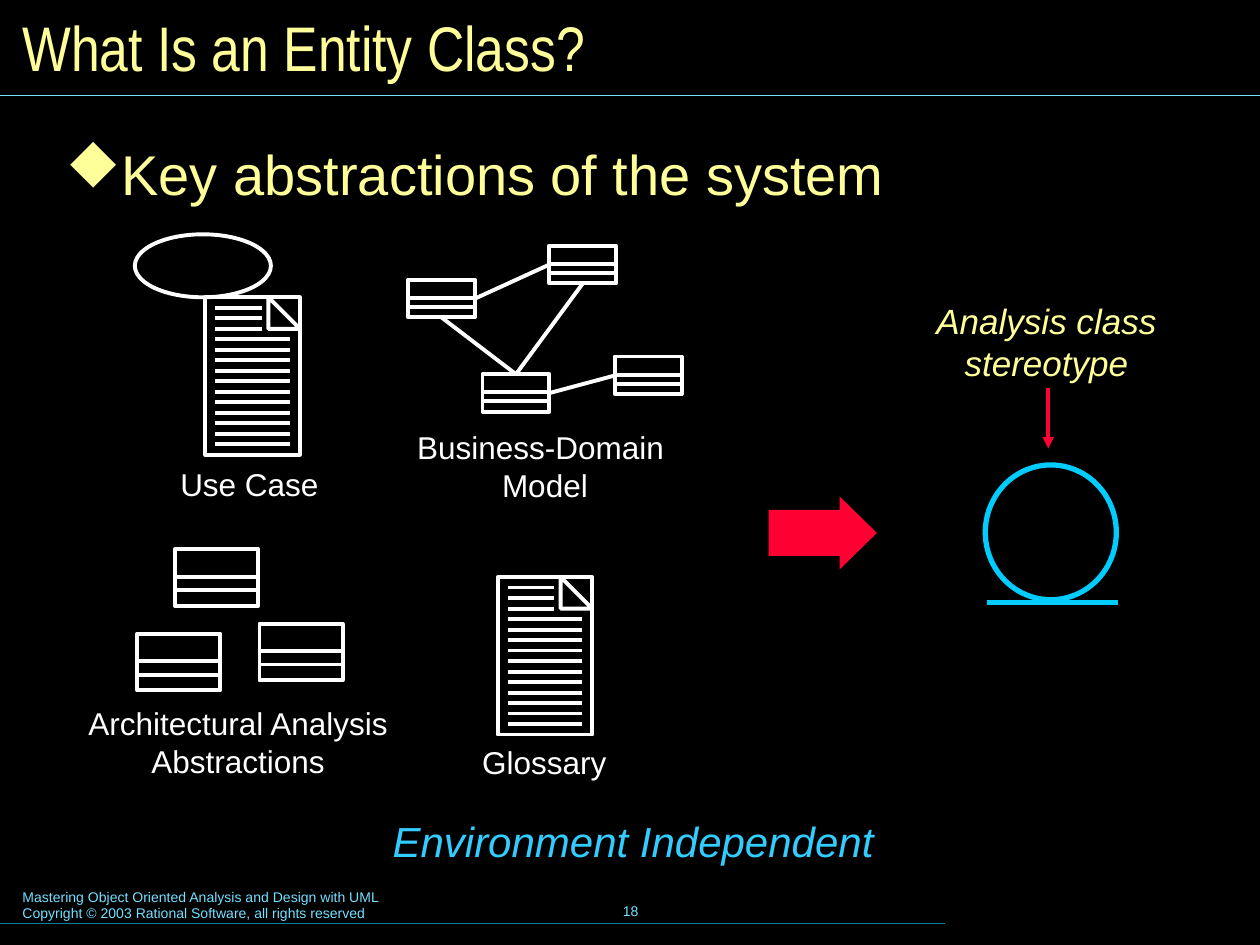
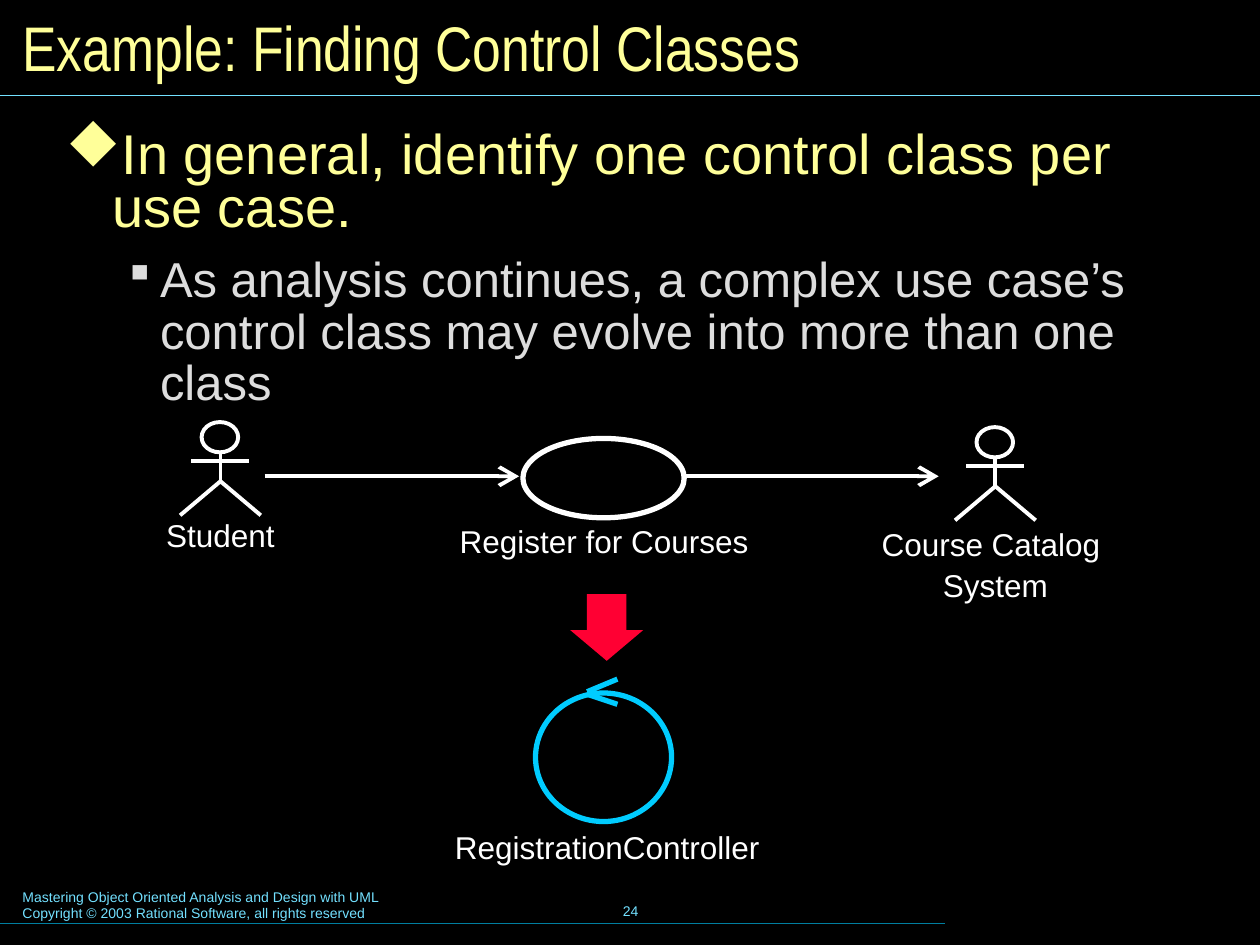
from lxml import etree
from pptx import Presentation, util as u
from pptx.dml.color import RGBColor
from pptx.enum import shapes, text
from pptx.oxml import ns

In, Pt = u.Inches, u.Pt
Kind = shapes.MSO_SHAPE
Al, Anc = text.PP_ALIGN, text.MSO_ANCHOR
BLACK = RGBColor(0x00, 0x00, 0x00)
WHITE = RGBColor(0xFF, 0xFF, 0xFF)
GREY = RGBColor(0xDD, 0xDD, 0xDD)
YELLOW = RGBColor(0xFF, 0xFF, 0x99)
RED = RGBColor(0xFF, 0x00, 0x33)
CYAN = RGBColor(0x00, 0xCC, 0xFF)
SKY = RGBColor(0x33, 0xCC, 0xFF)
PALE = RGBColor(0x73, 0xE1, 0xFF)
TEAL = RGBColor(0x00, 0x7E, 0x9F)
FOOT = ("Mastering Object Oriented Analysis and Design with UML\n"
        "Copyright © 2003 Rational Software, all rights reserved")
# colour, size, Wingdings mark (diamond, small square), left margin, indent,
# line spacing, space before
LEVELS = [(YELLOW, 32, "u", 0.37, -0.37, 0.8, 12),
          (GREY, 28, "§", 0.75, -0.25, 0.87, 10.5)]
TOP, LEFT, BOTTOM, RIGHT = range(4)


def add_tag(parent, tag, **attrs):
    node = etree.SubElement(parent, ns.qn(tag))
    for key, val in attrs.items():
        node.set(key, val)
    return node


class Deck:
    """Holds the shared style and the slide being drawn."""

    def __init__(self):
        self.prs = Presentation()
        self.prs.slide_width, self.prs.slide_height = In(10), In(7.5)

    def start(self, title, num):
        """Add a slide with its title, rules and footer."""
        slide = self.prs.slides.add_slide(self.prs.slide_layouts[6])
        fill = slide.background.fill
        fill.solid()
        fill.fore_color.rgb = BLACK
        self.items = slide.shapes
        self.label(FOOT, 0.08, 7, 5.1, 0.37, 8, PALE, Al.LEFT)
        self.label(str(num), 3.42, 6.98, 3.17, 0.5, 8, PALE, mid=True)
        self.line(0, 7.33, 7.5, 7.33, TEAL, 0.75)
        self.line(0, 0.76, 10, 0.76, PALE, 0.75)
        self.label(title, 0.08, 0.08, 9.84, 0.58, 36, YELLOW, Al.LEFT,
                   mid=True, face="Arial Narrow")

    def style(self, para, size, color, face="Arial", slant=False):
        for run in para.runs:
            font = run.font
            font.name, font.size, font.italic = face, Pt(size), slant
            font.color.rgb = color

    def frame(self, x, y, w, h, side=0.1, edge=0.05):
        box = self.items.add_textbox(In(x), In(y), In(w), In(h)).text_frame
        box.word_wrap = True
        box.margin_left = box.margin_right = In(side)
        box.margin_top = box.margin_bottom = In(edge)
        return box

    def label(self, words, x, y, w, h, size=18, color=WHITE, align=Al.CENTER,
              mid=False, face="Arial", slant=False, side=0.1, edge=0.05):
        box = self.frame(x, y, w, h, side, edge)
        box.text = words
        box.vertical_anchor = Anc.MIDDLE if mid else Anc.TOP
        for para in box.paragraphs:
            para.alignment = align
            self.style(para, size, color, face, slant)
        return box

    def body(self, y, *lines):
        """Write one bullet per line, each a level deeper."""
        box = self.frame(0.4, y, 9.29, 5.52, 0.12, 0.06)
        for rank, (words, level) in enumerate(zip(lines, LEVELS)):
            color, size, mark, left, dent, space, gap = level
            para = box.add_paragraph() if rank else box.paragraphs[0]
            para.text = words
            para.line_spacing = space
            if rank:
                para.space_before = Pt(gap)
            props = para._p.get_or_add_pPr()
            props.set("marL", str(In(left)))
            props.set("indent", str(In(dent)))
            add_tag(add_tag(props, "a:buClr"), "a:srgbClr", val=str(color))
            add_tag(props, "a:buFont", typeface="Wingdings", charset="2")
            add_tag(props, "a:buChar", char=mark)
            self.style(para, size, color)

    def outline(self, shape, color=WHITE, width=2.25):
        shape.shadow.inherit = False
        shape.fill.background()
        shape.line.color.rgb = color
        shape.line.width = Pt(width)
        return shape

    def shape(self, kind, x, y, w, h, color=WHITE, width=2.25):
        item = self.items.add_shape(kind, In(x), In(y), In(w), In(h))
        return self.outline(item, color, width)

    def free(self, points, close=False):
        spots = [(In(x), In(y)) for x, y in points]
        path = self.items.build_freeform(*spots[0])
        path.add_line_segments(spots[1:], close=close)
        return self.outline(path.convert_to_shape())

    def arrow(self, x, y, w, h, thick, tip, turn=0):
        item = self.items.add_shape(Kind.RIGHT_ARROW, In(x), In(y), In(w), In(h))
        item.shadow.inherit = False
        item.fill.solid()
        item.fill.fore_color.rgb = RED
        item.line.fill.background()
        item.adjustments[0], item.adjustments[1] = thick, tip
        item.rotation = turn

    def line(self, x1, y1, x2, y2, color=WHITE, width=2.25, head=None,
             size="med"):
        item = self.items.add_connector(shapes.MSO_CONNECTOR.STRAIGHT,
                                        In(x1), In(y1), In(x2), In(y2))
        item.line.color.rgb = color
        item.line.width = Pt(width)
        if head:
            add_tag(item.line._get_or_add_ln(), "a:tailEnd",
                    type=head, w=size, len=size)
        add_tag(item._element.spPr, "a:effectLst")
        return item

    def link(self, one, side, two, other):
        item = self.line(0, 0, 1, 1)
        item.begin_connect(one, side)
        item.end_connect(two, other)

    def node(self, x, y, w, h):
        """Draw a class box with its two inner rules."""
        box = self.shape(Kind.RECTANGLE, x, y, w, h)
        for part in (0.48, 0.72):
            self.line(x, y + part * h, x + w, y + part * h)
        return box

    def page(self, x, y):
        """Draw a written page with a folded corner."""
        w, h, fold, rows = 0.75, 1.25, 0.25, 15
        self.shape(Kind.RECTANGLE, x, y, w, h)
        bend = x + w - fold
        self.free([(bend, y), (x + w, y + fold), (bend, y + fold)], True)
        for row in range(1, rows):
            level = y + row * h / rows
            end = bend - 0.05 if row <= 3 else x + w - 0.08
            self.line(x + 0.08, level, end, level)

    def actor(self, x, y):
        """Draw a stick figure; x is its middle, y its top."""
        self.shape(Kind.OVAL, x - 0.15, y, 0.29, 0.24)
        self.line(x, y + 0.24, x, y + 0.47)
        self.line(x - 0.23, y + 0.31, x + 0.23, y + 0.31)
        self.free([(x - 0.32, y + 0.74), (x, y + 0.47), (x + 0.32, y + 0.74)])


def draw_entity(deck):
    deck.start("What Is an Entity Class?", 18)
    deck.body(1.15, "Key abstractions of the system")

    deck.shape(Kind.OVAL, 1.07, 1.86, 1.08, 0.5)
    deck.page(1.63, 2.36)
    deck.label("Use Case", 1.26, 3.64, 1.44, 0.4)

    spots = [(3.24, 2.22), (4.36, 1.95), (3.83, 2.97), (4.88, 2.83)]
    west, north, south, east = [deck.node(x, y, 0.53, 0.3) for x, y in spots]
    deck.link(south, TOP, west, BOTTOM)
    deck.link(west, RIGHT, north, LEFT)
    deck.link(south, RIGHT, east, LEFT)
    deck.link(south, TOP, north, BOTTOM)
    deck.label("Business-Domain \nModel", 3.07, 3.35, 2.51, 0.7)

    for x, y in [(1.39, 4.36), (2.06, 4.95), (1.09, 5.03)]:
        deck.node(x, y, 0.66, 0.45)
    deck.label("Architectural Analysis Abstractions", 0.54, 5.53, 2.7, 0.72,
               side=0.12, edge=0.06)

    deck.page(3.95, 4.58)
    deck.label("Glossary", 3.52, 5.85, 1.6, 0.4)

    deck.arrow(6.1, 3.94, 0.86, 0.58, 0.63, 0.51)
    deck.label("Analysis class stereotype", 7.31, 2.32, 1.99, 0.79, 20, YELLOW,
               slant=True, side=0.12, edge=0.06)
    deck.line(8.32, 3.08, 8.32, 3.56, RED, head="triangle")
    deck.shape(Kind.OVAL, 7.82, 3.69, 1.04, 1.07, CYAN, 3)
    deck.line(7.83, 4.78, 8.87, 4.78, CYAN, 3)
    deck.label("Environment Independent", 2.96, 6.42, 4.13, 0.5, 24, SKY,
               slant=True)


def draw_control(deck):
    deck.start("Example: Finding Control Classes", 24)
    deck.body(0.98, "In general, identify one control class per use case.",
              "As analysis continues, a complex use case’s control class "
              "may evolve into more than one class")

    deck.actor(1.75, 3.35)
    deck.label("Student", 0.88, 4.05, 1.74, 0.4)
    deck.line(2.1, 3.78, 4.12, 3.78, head="arrow", size="lg")
    deck.shape(Kind.OVAL, 4.15, 3.48, 1.28, 0.63, width=3)
    deck.label("Register for Courses", 3.16, 4.09, 3.27, 0.4)
    deck.line(5.44, 3.78, 7.45, 3.78, head="arrow", size="lg")
    deck.actor(7.9, 3.39)
    name = deck.label("Course Catalog \nSystem", 6.47, 4.12, 2.86, 0.71)
    last = name.paragraphs[1]
    last.line_spacing, last.space_before = 0.5, Pt(11.2)

    deck.arrow(4.55, 4.69, 0.53, 0.58, 0.54, 0.46, 90)
    deck.shape(Kind.OVAL, 4.25, 5.5, 1.08, 1.02, CYAN, 3)
    deck.line(4.9, 5.39, 4.66, 5.49, CYAN, 3)
    deck.line(4.9, 5.59, 4.66, 5.51, CYAN, 3)
    deck.label("RegistrationController", 3.41, 6.57, 2.82, 0.3, edge=0)


def main():
    deck = Deck()
    draw_entity(deck)
    draw_control(deck)
    deck.prs.save("out.pptx")


if __name__ == "__main__":
    main()
